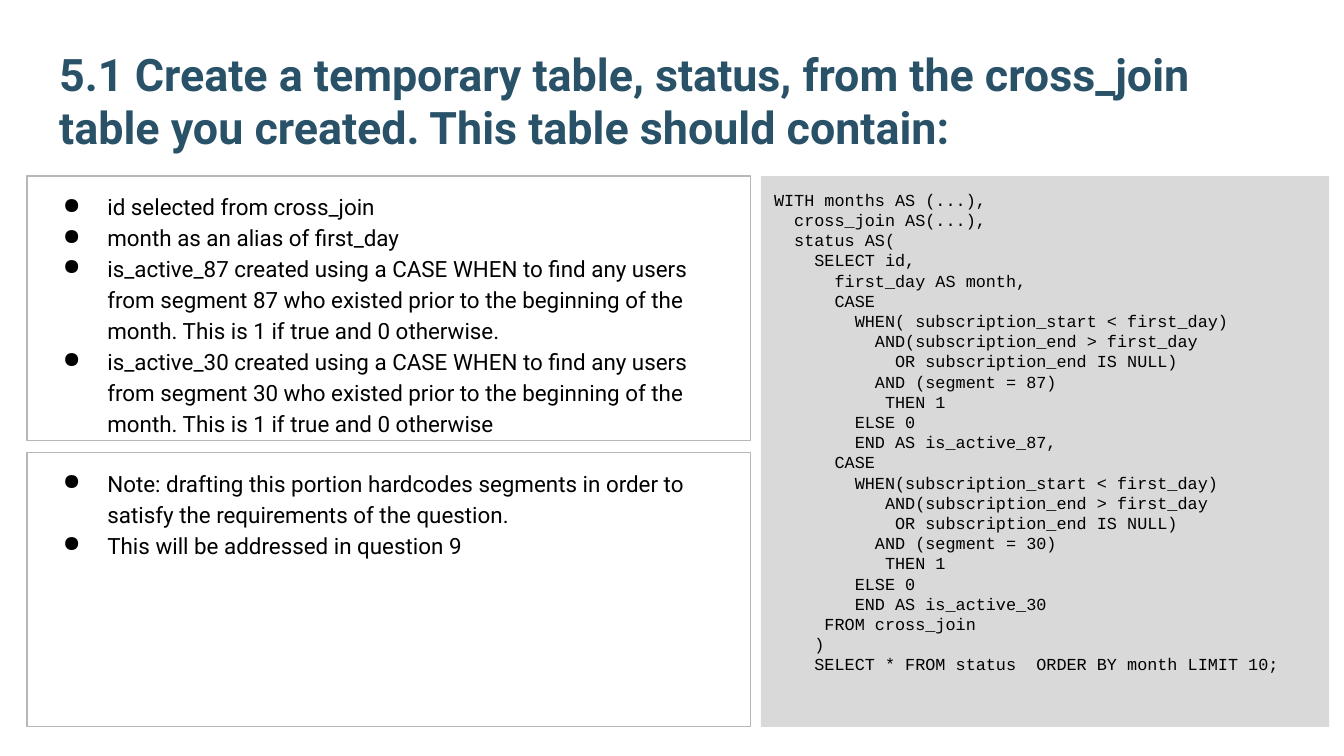
from lxml.etree import SubElement
from pptx import Presentation
from pptx.dml.color import RGBColor
from pptx.enum.shapes import MSO_SHAPE as Shape
from pptx.enum.text import MSO_ANCHOR as Anchor, PP_ALIGN as Align
from pptx.oxml.ns import qn
from pptx.util import Cm, Pt

TITLE = (
    "5.1 Create a temporary table, status, from the cross_join "
    "table you created. This table should contain:"
)
REQUIREMENTS = [
    "id selected from cross_join",
    "month as an alias of first_day",
    "is_active_87 created using a CASE WHEN to find any users from segment 87 "
    "who existed prior to the beginning of the month. "
    "This is 1 if true and 0 otherwise.",
    "is_active_30 created using a CASE WHEN to find any users from segment 30 "
    "who existed prior to the beginning of the month. "
    "This is 1 if true and 0 otherwise",
]
NOTES = [
    "Note: drafting this portion hardcodes segments in order to "
    "satisfy the requirements of the question.",
    "This will be addressed in question 9",
]
QUERY = """\
WITH months AS (...),
  cross_join AS(...),
  status AS(
    SELECT id,
      first_day AS month,
      CASE
        WHEN( subscription_start < first_day)
          AND(subscription_end > first_day
            OR subscription_end IS NULL)
          AND (segment = 87)
           THEN 1
        ELSE 0
        END AS is_active_87,
      CASE
        WHEN(subscription_start < first_day)
           AND(subscription_end > first_day
            OR subscription_end IS NULL)
          AND (segment = 30)
           THEN 1
        ELSE 0
        END AS is_active_30
     FROM cross_join
    )
    SELECT * FROM status  ORDER BY month LIMIT 10;""".splitlines()

COLORS = {"title": "295269", "text": "000000", "code": "D9D9D9", "border": "B7B7B7"}

# Lengths in centimetres
PAGE_WIDTH, PAGE_HEIGHT = 25.4, 14.29
INSET = 0.25
TOP, BOTTOM = 3.33, 13.74
LEFT, LIST_WIDTH = 0.51, 13.67
CODE_LEFT, CODE_WIDTH = 14.38, 10.74
REQUIREMENTS_HEIGHT = 5.0
GAP = 0.23
NOTES_TOP = TOP + REQUIREMENTS_HEIGHT + GAP
INDENT, HANGING = 1.27, 0.84


def color(name):
    return RGBColor.from_string(COLORS[name])


def add_bullet(para):
    props = para._p.get_or_add_pPr()
    props.set("marL", str(Cm(INDENT)))
    props.set("indent", str(-Cm(HANGING)))
    bullet_color = SubElement(props, qn("a:buClr"))
    SubElement(bullet_color, qn("a:srgbClr"), val=COLORS["text"])
    SubElement(props, qn("a:buChar"), char="●")
    para.line_spacing = 1.15


def write(box, lines, font, size, ink="text", bold=False, bullets=False,
          anchor=Anchor.TOP):
    frame = box.text_frame
    frame.word_wrap = True
    frame.vertical_anchor = anchor
    frame.margin_left = frame.margin_right = Cm(INSET)
    frame.margin_top = frame.margin_bottom = Cm(INSET)
    for index, line in enumerate(lines):
        para = frame.add_paragraph() if index else frame.paragraphs[0]
        para.add_run().text = line
        para.alignment = Align.LEFT
        if bullets:
            add_bullet(para)
        para.font.name = font
        para.font.size = Pt(size)
        para.font.bold = bold
        para.font.color.rgb = color(ink)


def add_panel(page, left, top, width, height, fill=None, border=None):
    panel = page.shapes.add_shape(
        Shape.RECTANGLE, Cm(left), Cm(top), Cm(width), Cm(height))
    panel.shadow.inherit = False
    if fill:
        panel.fill.solid()
        panel.fill.fore_color.rgb = color(fill)
    else:
        panel.fill.background()
    if border:
        panel.line.color.rgb = color(border)
        panel.line.width = Pt(0.75)
    else:
        panel.line.fill.background()
    return panel


def main():
    deck = Presentation()
    deck.slide_width, deck.slide_height = Cm(PAGE_WIDTH), Cm(PAGE_HEIGHT)
    page = deck.slides.add_slide(deck.slide_layouts[6])

    title = page.shapes.add_textbox(Cm(0.87), Cm(0.82), Cm(23.67), Cm(2.34))
    write(title, [TITLE], "Roboto", 24, ink="title", bold=True,
          anchor=Anchor.BOTTOM)

    code = add_panel(page, CODE_LEFT, TOP, CODE_WIDTH, BOTTOM - TOP, fill="code")
    write(code, QUERY, "Courier New", 9)

    for items, top, height in (
        (REQUIREMENTS, TOP, REQUIREMENTS_HEIGHT),
        (NOTES, NOTES_TOP, BOTTOM - NOTES_TOP),
    ):
        panel = add_panel(page, LEFT, top, LIST_WIDTH, height, border="border")
        write(panel, items, "Roboto", 12, bullets=True)

    deck.save("out.pptx")


if __name__ == "__main__":
    main()
